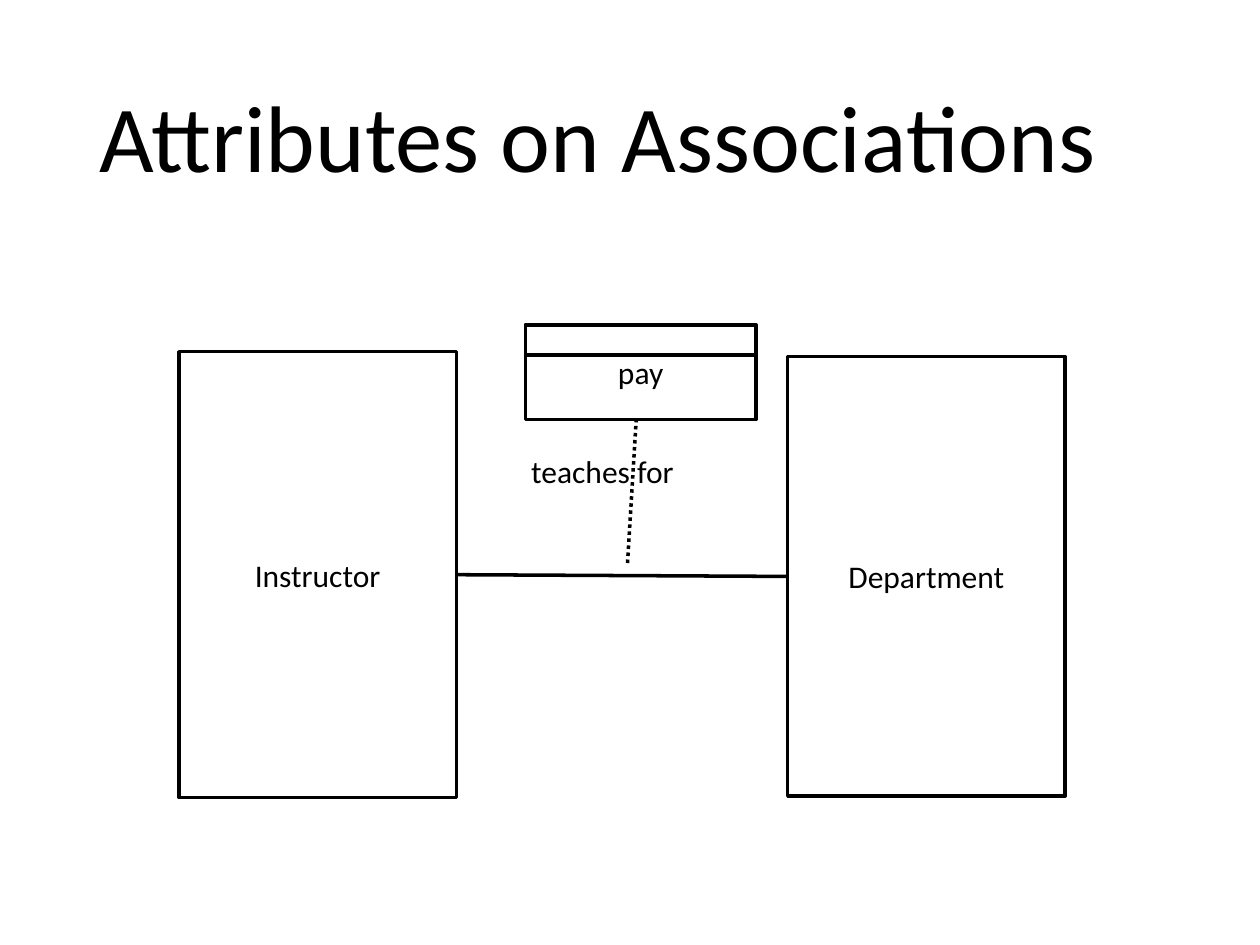
import pptx
import pptx.util
import pptx.dml.color
import pptx.enum.dml
import pptx.enum.shapes
import pptx.enum.text
from lxml import etree
from pptx.util import Cm

HUES = {"ink": "000000", "paper": "FFFFFF"}
FONT = "Calibri"
ALIGN = pptx.enum.text.PP_ALIGN
ANCHOR = pptx.enum.text.MSO_ANCHOR


def hue(name):
    return pptx.dml.color.RGBColor.from_string(HUES[name])


def write(shape, text, size, align=ALIGN.LEFT, wrap=False):
    frame = shape.text_frame
    frame.text = text
    frame.word_wrap = wrap
    para = frame.paragraphs[0]
    para.alignment = align
    font = para.runs[0].font
    font.name = FONT
    font.size = pptx.util.Pt(size)
    font.color.rgb = hue("ink")
    return frame


def ink(line):
    line.color.rgb = hue("ink")
    line.width = pptx.util.Pt(2)


def box(shapes, text, left, top, width, height):
    kind = pptx.enum.shapes.MSO_SHAPE.RECTANGLE
    rect = shapes.add_shape(kind, Cm(left), Cm(top), Cm(width), Cm(height))
    rect.shadow.inherit = False
    rect.fill.solid()
    rect.fill.fore_color.rgb = hue("paper")
    ink(rect.line)
    frame = write(rect, text, 18, ALIGN.CENTER)
    frame.vertical_anchor = ANCHOR.MIDDLE
    return rect


def link(shapes, left, top, right, low):
    kind = pptx.enum.shapes.MSO_CONNECTOR.STRAIGHT
    line = shapes.add_connector(kind, Cm(left), Cm(top), Cm(right), Cm(low))
    ink(line.line)
    props = line._element.spPr
    etree.SubElement(props, pptx.oxml.ns.qn("a:effectLst"))
    return line


def title(shapes, left, top, width, height):
    head = shapes.add_textbox(Cm(left), Cm(top), Cm(width), Cm(height))
    frame = write(head, "Attributes on Associations", 54, wrap=True)
    frame.vertical_anchor = ANCHOR.MIDDLE
    frame.paragraphs[0].line_spacing = 0.9


def classes(shapes, left, top, width, height):
    side = 5.59
    teach = box(shapes, "Instructor", left, top, side, height)
    dept = box(shapes, "Department", left + width - side, top + 0.1,
               side, height - 0.13)
    bond = link(shapes, left + width - side, top + height / 2,
                left + side, top + height / 2)
    bond.begin_connect(dept, 1)
    bond.end_connect(teach, 3)


def label(shapes, left, top, width, height):
    note = shapes.add_textbox(Cm(left), Cm(top), Cm(width), Cm(height))
    frame = write(note, "teaches for", 18)
    frame.auto_size = pptx.enum.text.MSO_AUTO_SIZE.SHAPE_TO_FIT_TEXT


def detail(shapes, left, top, width, height):
    parts = shapes.add_group_shape().shapes
    box(parts, "pay", left, top, width, height)
    link(parts, left + 0.03, top + 0.61, left + width + 0.05, top + 0.61)
    stem = link(parts, left + 2.06, top + 4.8, left + 2.24, top + 1.83)
    stem.line.dash_style = pptx.enum.dml.MSO_LINE.ROUND_DOT


def main():
    deck = pptx.Presentation()
    deck.slide_width, deck.slide_height = Cm(25.4), Cm(19.05)
    shapes = deck.slides.add_slide(deck.slide_layouts[6]).shapes
    title(shapes, 1.75, 1.02, 21.89, 3.68)
    classes(shapes, 3.61, 7.09, 17.86, 8.99)
    label(shapes, 10.46, 8.99, 4.19, 1.27)
    detail(shapes, 10.59, 6.55, 4.65, 1.91)
    deck.save("out.pptx")


if __name__ == "__main__":
    main()
